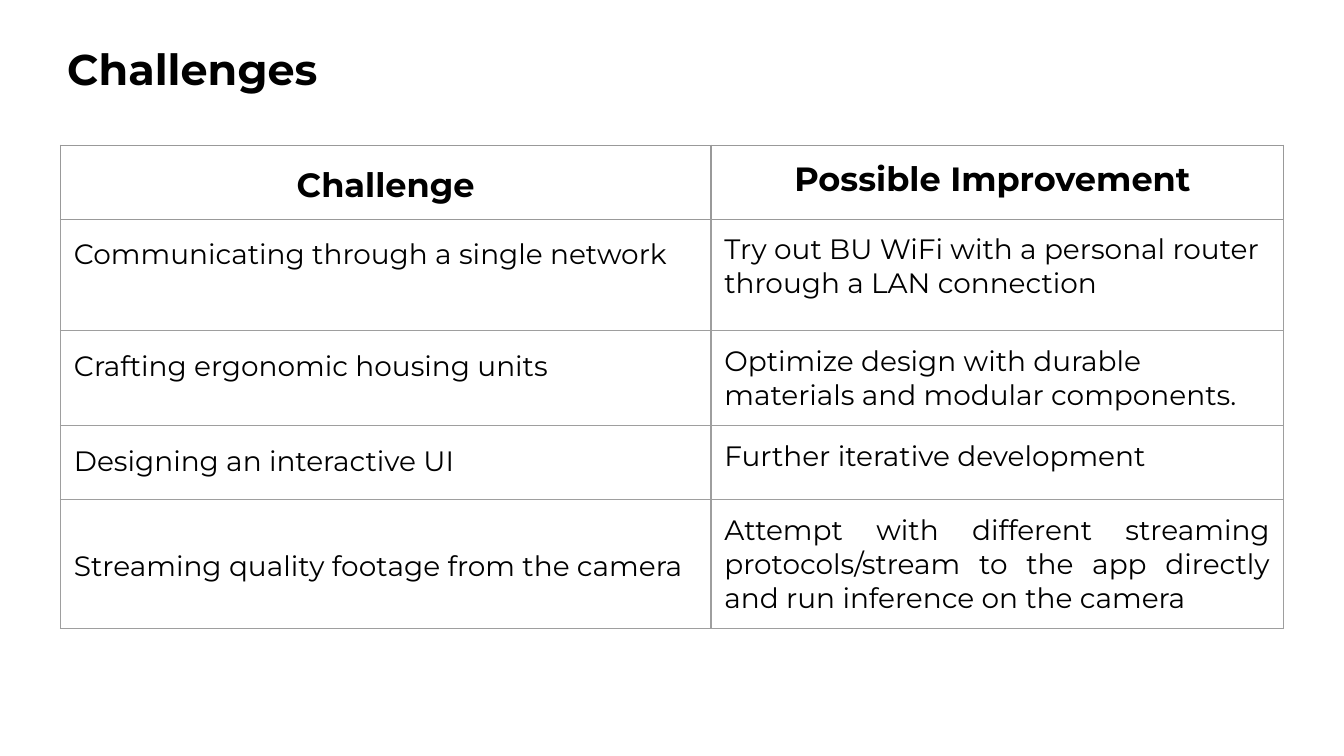
import pptx
import pptx.enum.text
import pptx.oxml
import pptx.oxml.ns
import pptx.util
from pptx.dml.color import RGBColor
from pptx.enum.text import MSO_ANCHOR, PP_ALIGN
from pptx.util import Inches

COLORS = {"text": "000000", "background": "FFFFFF", "header_border": "999999", "border": "9E9E9E"}
FONT = "Montserrat"
INSET = 0.1
COLUMN_WIDTHS = [4.84, 4.26]
ROW_HEIGHTS = [0.55, 0.83, 0.7, 0.55, 0.96]
HEADERS = ("Challenge", "Possible Improvement ")
CHALLENGES = [
    ("Communicating through a single network",
     "Try out BU WiFi with a personal router through a LAN connection"),
    ("Crafting ergonomic housing units",
     "Optimize design with durable materials and modular components."),
    ("Designing an interactive UI", "Further iterative development"),
    ("Streaming quality footage from the camera",
     "Attempt with different streaming protocols/stream to the app directly "
     "and run inference on the camera"),
]


def write_text(text_frame, text, size=15, bold=False, align=PP_ALIGN.LEFT,
               line_spacing=1.0, space_after=0):
    paragraph = text_frame.paragraphs[0]
    paragraph.alignment = align
    paragraph.line_spacing = line_spacing
    paragraph.space_before = pptx.util.Pt(0)
    paragraph.space_after = pptx.util.Pt(space_after)
    run = paragraph.add_run()
    run.text = text
    run.font.name = FONT
    run.font.size = pptx.util.Pt(size)
    run.font.bold = bold
    run.font.color.rgb = RGBColor.from_string(COLORS["text"])


def set_insets(target):
    """Give a cell or text frame the same margin on all sides."""
    target.margin_left = target.margin_right = Inches(INSET)
    target.margin_top = target.margin_bottom = Inches(INSET)


def set_borders(cell, colors):
    """Draw the left, right, top and bottom borders, in that order."""
    properties = cell._tc.get_or_add_tcPr()
    for index, (side, color) in enumerate(zip("LRTB", colors)):
        line = pptx.oxml.parse_xml(
            f'<a:ln{side} {pptx.oxml.ns.nsdecls("a")} w="9525"><a:solidFill>'
            f'<a:srgbClr val="{color}"/></a:solidFill></a:ln{side}>')
        properties.insert(index, line)


def add_title(slide, text, left, top, width, height):
    title = slide.shapes.title
    title.left, title.top = Inches(left), Inches(top)
    title.width, title.height = Inches(width), Inches(height)
    frame = title.text_frame
    frame.word_wrap = True
    frame.auto_size = pptx.enum.text.MSO_AUTO_SIZE.NONE
    frame.vertical_anchor = MSO_ANCHOR.TOP
    set_insets(frame)
    write_text(frame, text, size=23, bold=True)


def add_challenge_table(slide, left, top):
    rows = [HEADERS] + CHALLENGES
    table = slide.shapes.add_table(
        len(rows), len(HEADERS), Inches(left), Inches(top),
        Inches(sum(COLUMN_WIDTHS)), Inches(sum(ROW_HEIGHTS))).table
    table.first_row = table.horz_banding = False
    for column, width in zip(table.columns, COLUMN_WIDTHS):
        column.width = Inches(width)
    for row, height in zip(table.rows, ROW_HEIGHTS):
        row.height = Inches(height)

    last = len(rows) - 1
    for row_index, row in enumerate(rows):
        header = row_index == 0
        side_color = COLORS["header_border" if header else "border"]
        top_color = COLORS["header_border" if row_index <= 1 else "border"]
        for column_index, text in enumerate(row):
            cell = table.cell(row_index, column_index)
            first_column = column_index == 0
            cell.fill.solid()
            cell.fill.fore_color.rgb = RGBColor.from_string(COLORS["background"])
            set_insets(cell)
            set_borders(cell, [side_color, side_color, top_color, side_color])
            align = PP_ALIGN.LEFT
            if header:
                align = PP_ALIGN.CENTER
            elif row_index == last and not first_column:
                align = PP_ALIGN.JUSTIFY
            middle = row_index == last and first_column
            cell.vertical_anchor = MSO_ANCHOR.MIDDLE if middle else MSO_ANCHOR.TOP
            write_text(cell.text_frame, text, size=18 if header else 15, bold=header,
                       align=align, line_spacing=1.15 if first_column else 1.0,
                       space_after=12 if first_column and row_index != 1 else 0)


def main():
    presentation = pptx.Presentation()
    presentation.slide_width = Inches(10)
    presentation.slide_height = presentation.slide_width * 9 // 16
    slide = presentation.slides.add_slide(presentation.slide_layouts[5])
    add_title(slide, "Challenges", 0.4, 0.22, 9.32, 0.63)
    add_challenge_table(slide, 0.45, 1.08)
    presentation.save("out.pptx")


if __name__ == "__main__":
    main()
